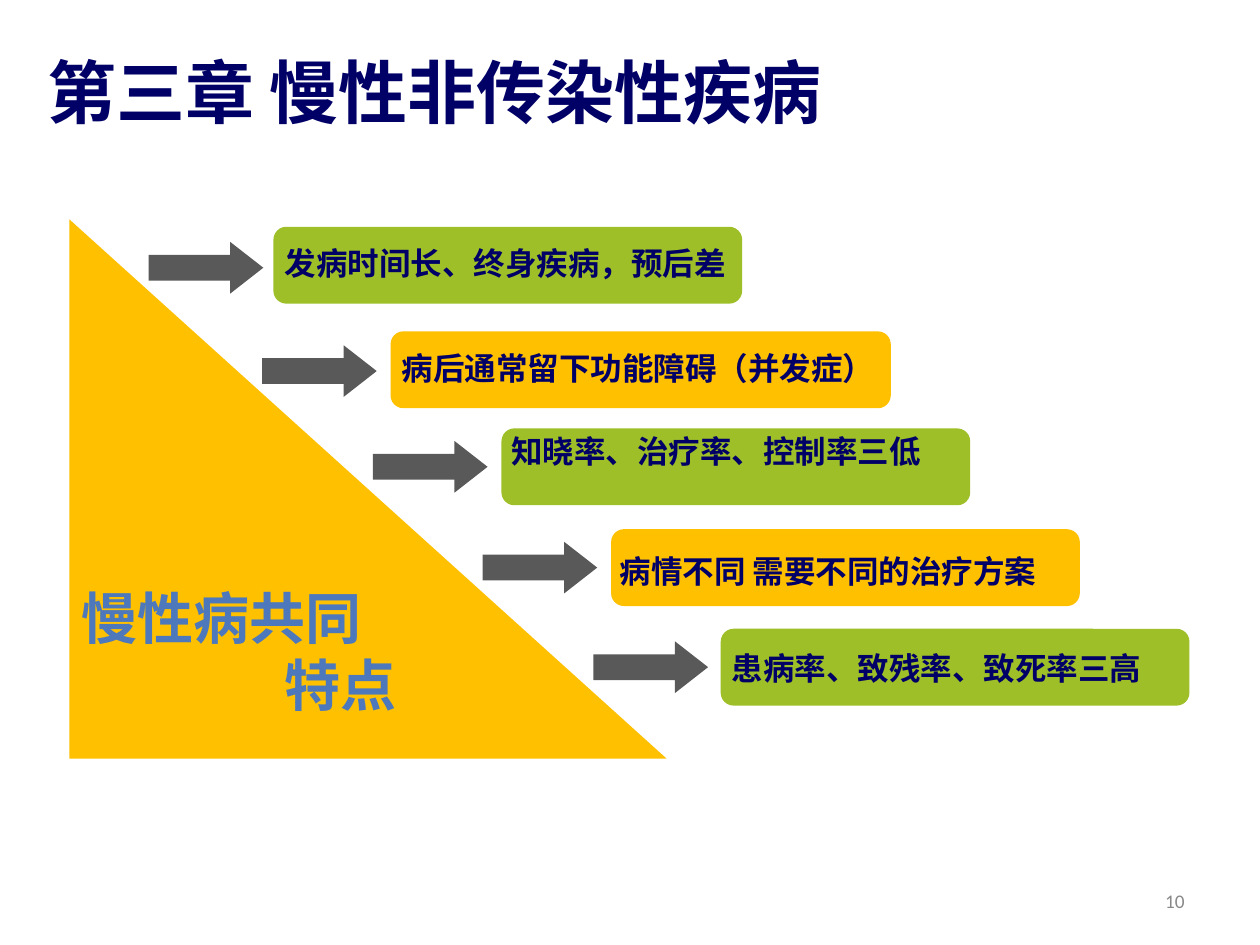
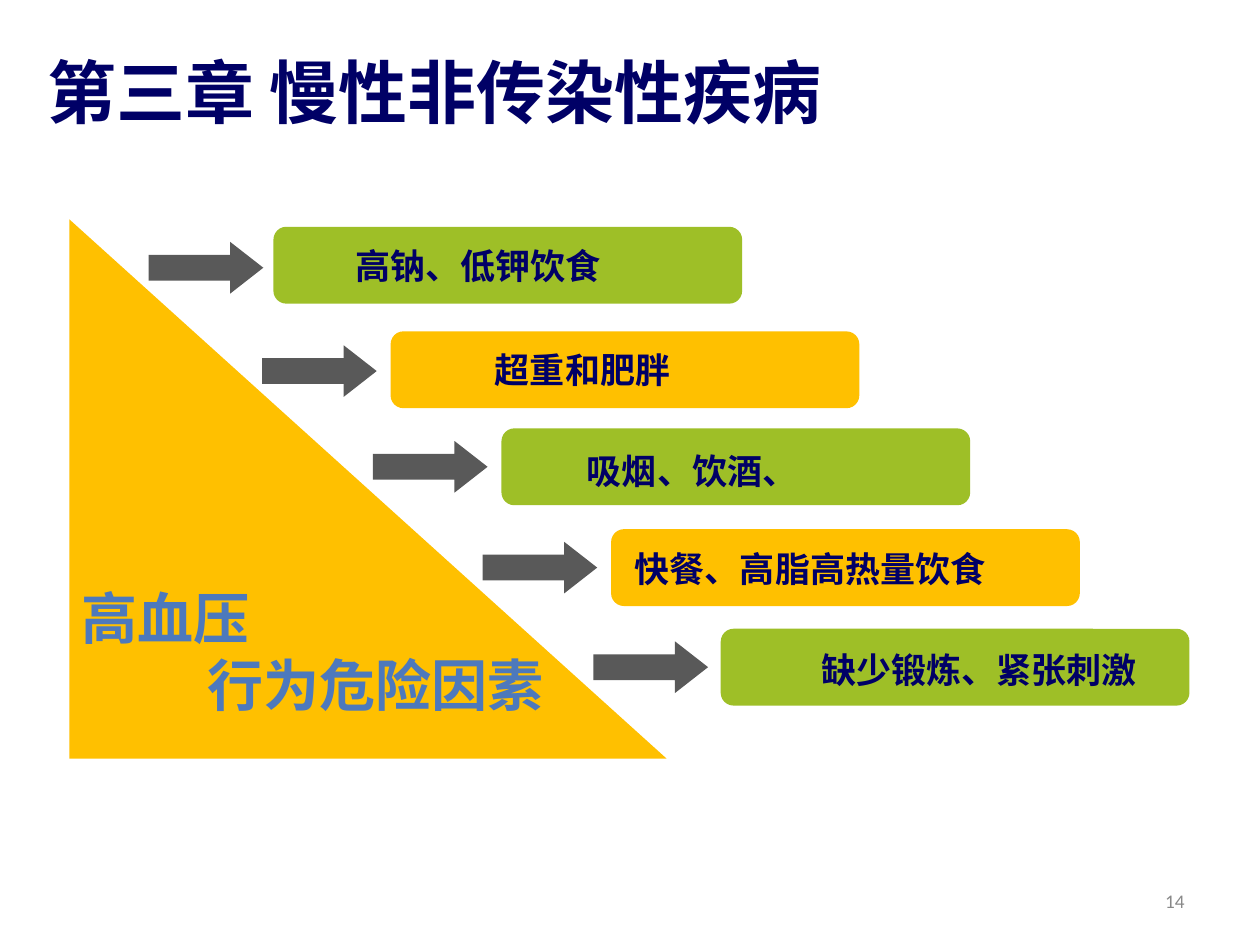
from pptx import Presentation
from pptx import util as u
from pptx.dml.color import RGBColor
from pptx.enum import shapes, text
from pptx.oxml.ns import qn
from lxml import etree

NAVY, BLUE, GREY = "000066", "4D79BC", "898989"
GREEN, AMBER, DARK = "9EBF27", "FFC000", "595959"
CJK = "Noto Sans CJK SC"
TITLE = "第三章 慢性非传染性疾病"

# Each step down the slope: bar left, bar top, arrow left, arrow top
STEPS = [
    (2.17, 1.80, 1.18, 1.92),
    (3.10, 2.63, 2.08, 2.74),
    (3.98, 3.40, 2.96, 3.50),
    (4.85, 4.20, 3.83, 4.30),
    (5.72, 4.99, 4.71, 5.09),
]
BAR_WIDTH, BAR_HEIGHT = 3.72, 0.61
LABEL_WIDTH, RIGHT_EDGE = 4.05, 9.9

# Labels: text, left, top; headline lines: text, left indent
SLIDES = [
    {
        "number": "10",
        "label_size": 18,
        "wide_bars": {1: 3.97},
        "headline": [("慢性病共同", 0), ("特点", 1.61)],
        "labels": [
            ("发病时间长、终身疾病，预后差", 2.16, 1.89),
            ("病后通常留下功能障碍（并发症）", 3.09, 2.72),
            ("知晓率、治疗率、控制率三低", 3.96, 3.38),
            ("病情不同 需要不同的治疗方案", 4.82, 4.33),
            ("患病率、致残率、致死率三高", 5.71, 5.10),
        ],
    },
    {
        "number": "14",
        "label_size": 20,
        "wide_bars": {},
        "headline": [("高血压", 0), ("行为危险因素", 1.0)],
        "labels": [
            ("高钠、低钾饮食", 2.72, 1.89),
            ("超重和肥胖", 3.83, 2.72),
            ("吸烟、饮酒、", 4.56, 3.52),
            ("快餐、高脂高热量饮食", 4.94, 4.30),
            ("缺少锻炼、紧张刺激", 6.42, 5.10),
        ],
    },
]


def add_text(page, lines, left, top, width, height, size, color=NAVY, font=CJK,
             bold=True, align=text.PP_ALIGN.LEFT, anchor=text.MSO_ANCHOR.TOP):
    """Add a text box; lines holds (text, left indent in inches) pairs."""
    box = page.shapes.add_textbox(*map(u.Inches, (left, top, width, height)))
    frame = box.text_frame
    frame.word_wrap = True
    frame.vertical_anchor = anchor
    for i, (words, indent) in enumerate(lines):
        para = frame.paragraphs[0] if i == 0 else frame.add_paragraph()
        para.alignment = align
        if indent:
            para._p.get_or_add_pPr().set("marL", str(u.Inches(indent)))
        span = para.add_run()
        span.text = words
        span.font.size = u.Pt(size)
        span.font.bold = bold
        span.font.name = font
        span.font.color.rgb = RGBColor.from_string(color)
        etree.SubElement(span._r.get_or_add_rPr(), qn("a:ea")).set("typeface", font)


def add_block(page, kind, left, top, width, height, color, adjustments=()):
    block = page.shapes.add_shape(kind, *map(u.Inches, (left, top, width, height)))
    block.shadow.inherit = False
    block.fill.solid()
    block.fill.fore_color.rgb = RGBColor.from_string(color)
    block.line.fill.background()
    for i, value in enumerate(adjustments):
        block.adjustments[i] = value


deck = Presentation()
deck.slide_width, deck.slide_height = u.Inches(10), u.Inches(7.5)

for content in SLIDES:
    page = deck.slides.add_slide(deck.slide_layouts[6])
    add_block(page, shapes.MSO_SHAPE.RIGHT_TRIANGLE, 0.55, 1.74, 4.74, 4.28, AMBER)

    for i, (bar_left, bar_top, arrow_left, arrow_top) in enumerate(STEPS):
        add_block(page, shapes.MSO_SHAPE.ROUNDED_RECTANGLE, bar_left, bar_top,
                  content["wide_bars"].get(i, BAR_WIDTH), BAR_HEIGHT,
                  AMBER if i % 2 else GREEN, [0.167])
        add_block(page, shapes.MSO_SHAPE.RIGHT_ARROW, arrow_left, arrow_top,
                  0.91, 0.41, DARK, [0.5, 0.64])

    for words, left, top in content["labels"]:
        add_text(page, [(words, 0)], left, top, min(LABEL_WIDTH, RIGHT_EDGE - left),
                 0.44, content["label_size"])

    add_text(page, [(TITLE, 0)], 0.28, 0.22, 8.8, 1, 39.4,
             anchor=text.MSO_ANCHOR.MIDDLE)
    add_text(page, content["headline"], 0.55, 4.58, 4.29, 1.18, 32, color=BLUE)
    add_text(page, [(content["number"], 0)], 7.17, 6.95, 2.33, 0.4, 11, color=GREY,
             font="Calibri", bold=False, align=text.PP_ALIGN.RIGHT,
             anchor=text.MSO_ANCHOR.MIDDLE)

deck.save("out.pptx")
